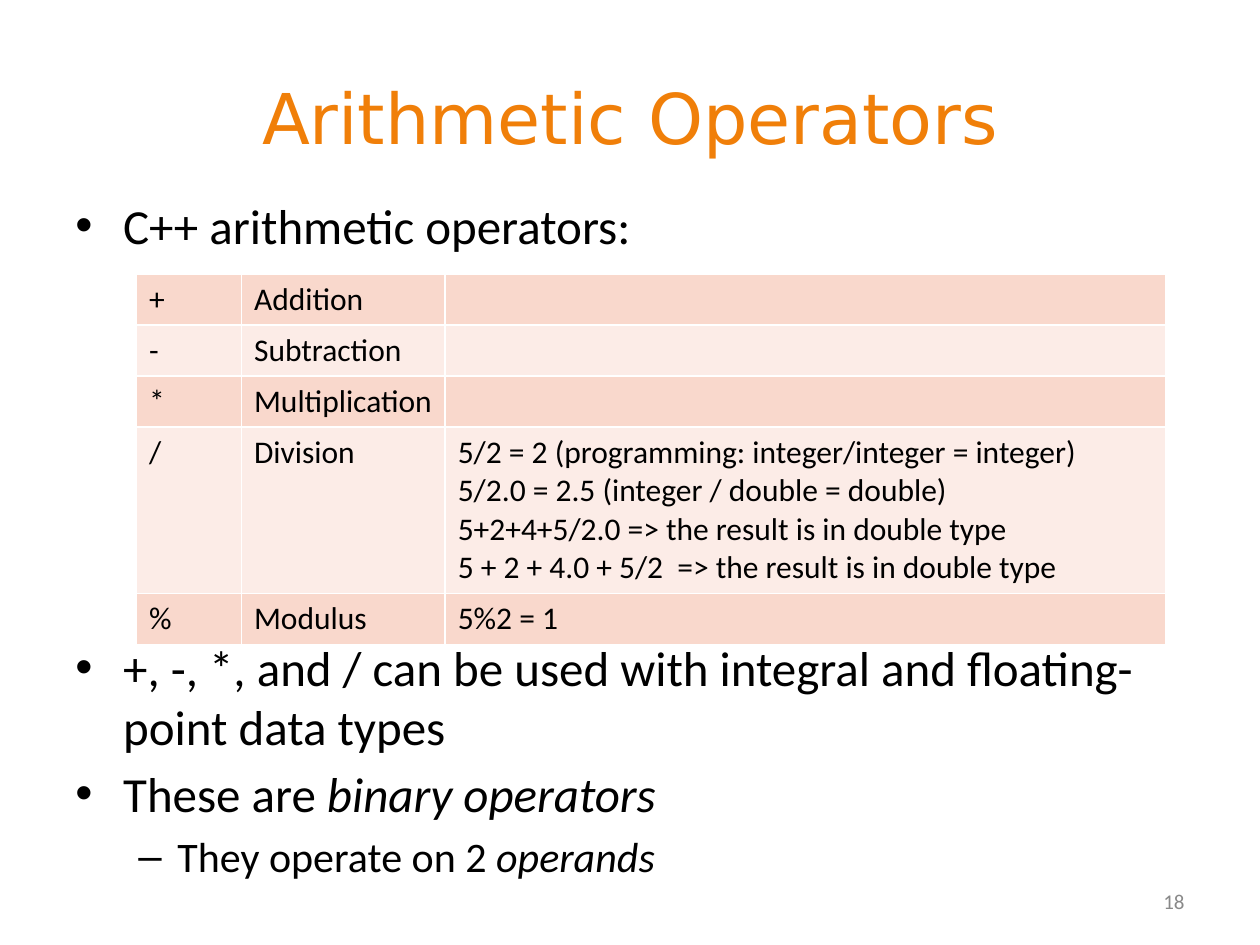
from dataclasses import dataclass

from lxml.etree import SubElement
from pptx import Presentation
from pptx.dml.color import RGBColor
from pptx.enum.text import MSO_ANCHOR as Anchor, PP_ALIGN as Align
from pptx.oxml.ns import qn
from pptx.util import Inches, Pt

UNIT = 1 / 12  # grid of 120 columns by 90 rows on a 10 x 7.5 inch slide


@dataclass(frozen=True)
class Theme:
    title_font: str = "DejaVu Sans"
    body_font: str = "Calibri"
    accent: str = "F07F09"
    text: str = "000000"
    muted: str = "898989"
    band_dark: str = "F9D8CC"
    band_light: str = "FCECE7"
    border: str = "FFFFFF"
    title_size: int = 40
    level_sizes: tuple = (28, 24)
    table_size: int = 18
    number_size: int = 12


THEME = Theme()

OPERATORS = [
    ("+", "Addition", []),
    ("-", "Subtraction", []),
    ("*", "Multiplication", []),
    ("/", "Division", [
        "5/2 = 2 (programming: integer/integer = integer)",
        "5/2.0 = 2.5 (integer / double = double)",
        "5+2+4+5/2.0 => the result is in double type",
        "5 + 2 + 4.0 + 5/2  => the result is in double type",
    ]),
    ("%", "Modulus", ["5%2 = 1"]),
]
COLUMN_WIDTHS = (10, 19.4, 68.6)

# Level, space before in points, plain text, italic ending
BULLETS = [
    (0, 0, "C++ arithmetic operators:", ""),
    (0, 219, "+, -, *, and / can be used with integral and floating-point data types", ""),
    (0, 5, "These are ", "binary operators"),
    (1, 4.5, "They operate on 2 ", "operands"),
]
BULLET_STYLES = (("•", 0.38, 0.38), ("–", 0.81, 0.31))


def grid(*units):
    return [Inches(unit * UNIT) for unit in units]


def add_run(paragraph, text, size=THEME.table_size, font=THEME.body_font,
            color=THEME.text, italic=False):
    run = paragraph.add_run()
    run.text = text
    run.font.size = Pt(size)
    run.font.name = font
    run.font.color.rgb = RGBColor.from_string(color)
    run.font.italic = italic


def write_lines(frame, lines, align=Align.LEFT, **style):
    for index, line in enumerate(lines):
        paragraph = frame.add_paragraph() if index else frame.paragraphs[0]
        paragraph.alignment = align
        add_run(paragraph, line, **style)


def add_title(slide, text):
    title = slide.shapes.title
    title.left, title.top, title.width, title.height = grid(6, 3.6, 108, 15)
    title.text_frame.vertical_anchor = Anchor.MIDDLE
    write_lines(title.text_frame, [text], Align.CENTER, size=THEME.title_size,
                font=THEME.title_font, color=THEME.accent)


def add_text_frame(slide, box, anchor=Anchor.TOP):
    frame = slide.shapes.add_textbox(*grid(*box)).text_frame
    frame.word_wrap = True
    frame.vertical_anchor = anchor
    return frame


def set_bullet(paragraph, level):
    character, indent, hanging = BULLET_STYLES[level]
    paragraph.level = level
    properties = paragraph._p.get_or_add_pPr()
    properties.set("marL", str(Inches(indent)))
    properties.set("indent", str(-Inches(hanging)))
    SubElement(properties, qn("a:buFont"), typeface="Arial")
    SubElement(properties, qn("a:buChar"), char=character)


def add_bullets(slide, box, bullets):
    frame = add_text_frame(slide, box)
    for index, (level, space, text, ending) in enumerate(bullets):
        paragraph = frame.add_paragraph() if index else frame.paragraphs[0]
        set_bullet(paragraph, level)
        paragraph.space_before = Pt(space)
        size = THEME.level_sizes[level]
        add_run(paragraph, text, size=size)
        if ending:
            add_run(paragraph, ending, size=size, italic=True)


def format_cell(cell, color):
    """Give the cell thin borders, which must precede its fill in the XML."""
    properties = cell._tc.get_or_add_tcPr()
    for side in ("lnL", "lnR", "lnT", "lnB"):
        line = SubElement(properties, qn(f"a:{side}"), w=str(Pt(1)))
        fill = SubElement(line, qn("a:solidFill"))
        SubElement(fill, qn("a:srgbClr"), val=THEME.border)
    cell.fill.solid()
    cell.fill.fore_color.rgb = RGBColor.from_string(color)


def add_operator_table(slide, left, top, operators):
    heights = [1.2 + 3.66 * max(1, len(examples)) for _, _, examples in operators]
    box = grid(left, top, sum(COLUMN_WIDTHS), sum(heights))
    table = slide.shapes.add_table(len(operators), len(COLUMN_WIDTHS), *box).table
    table.first_row = False
    for column, width in zip(table.columns, grid(*COLUMN_WIDTHS)):
        column.width = width
    for row, height in zip(table.rows, grid(*heights)):
        row.height = height
    for index, (symbol, name, examples) in enumerate(operators):
        color = THEME.band_light if index % 2 else THEME.band_dark
        for cell, lines in zip(table.rows[index].cells, ([symbol], [name], examples)):
            format_cell(cell, color)
            write_lines(cell.text_frame, lines)


def add_slide_number(slide, number):
    frame = add_text_frame(slide, (86, 83.4, 28, 4.8), Anchor.MIDDLE)
    write_lines(frame, [number], Align.RIGHT, size=THEME.number_size, color=THEME.muted)


def main():
    presentation = Presentation()
    presentation.slide_width, presentation.slide_height = grid(120, 90)
    slide = presentation.slides.add_slide(presentation.slide_layouts[5])
    add_slide_number(slide, "18")
    add_title(slide, "Arithmetic Operators")
    add_bullets(slide, (6, 18, 108, 62.4), BULLETS)
    add_operator_table(slide, 13, 26.1, OPERATORS)
    presentation.save("out.pptx")


if __name__ == "__main__":
    main()
